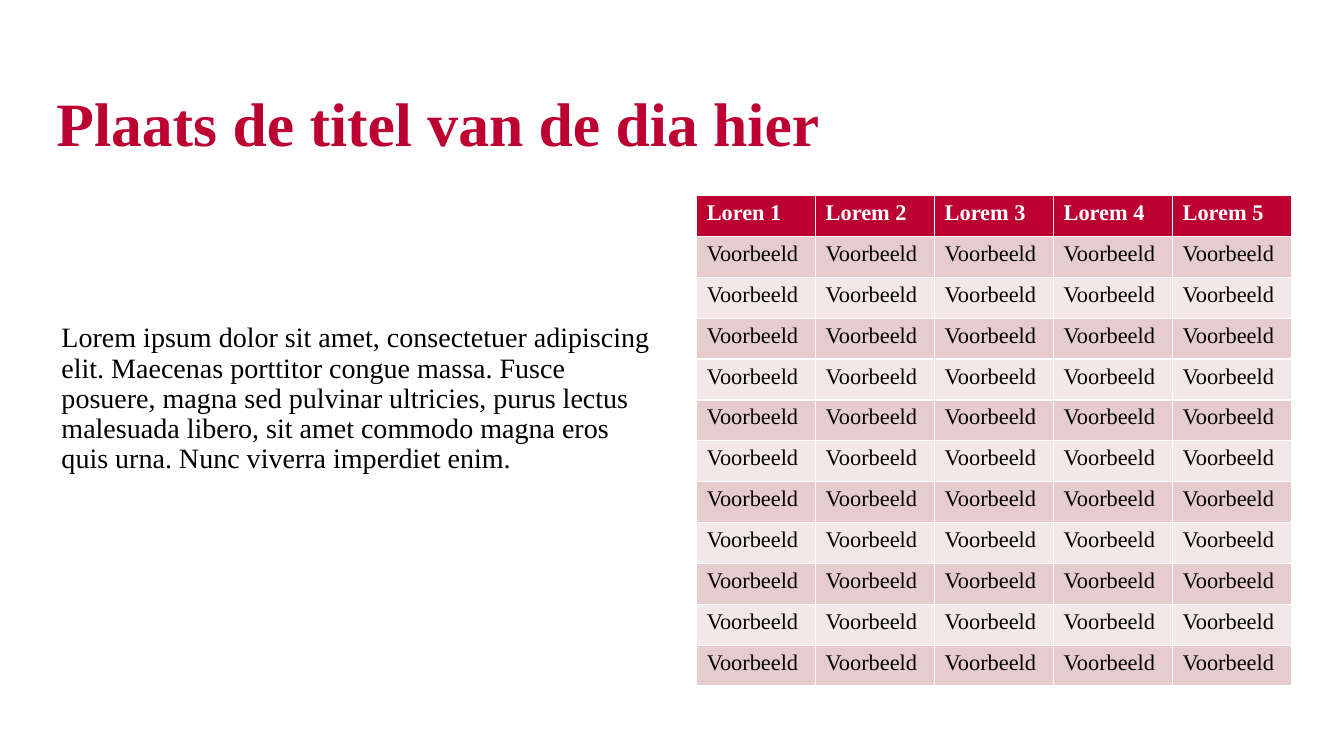
"""Build a slide with a title, a paragraph and an example table."""
from lxml import etree
from pptx import Presentation, util as u
from pptx.dml.color import RGBColor
from pptx.enum import text as t
from pptx.oxml.ns import qn

TITLE = "Plaats de titel van de dia hier"
BODY = (
    "Lorem ipsum dolor sit amet, consectetuer adipiscing elit. Maecenas porttitor "
    "congue massa. Fusce posuere, magna sed pulvinar ultricies, purus lectus malesuada "
    "libero, sit amet commodo magna eros quis urna. Nunc viverra imperdiet enim."
)
HEADERS = ["Loren 1", "Lorem 2", "Lorem 3", "Lorem 4", "Lorem 5"]
EXAMPLE_ROWS = [["Voorbeeld"] * len(HEADERS)] * 11

FONT = "Times New Roman"
RED, WHITE, BLACK = "BC0031", "FFFFFF", "000000"
BANDS = ["E7CCCE", "F3E7E8"]

TITLE_AREA = (0.56, 0.78, 12.2, 0.96)
BODY_AREA = (0.61, 3.21, 5.87, 1.5)
TABLE_AREA = (6.91, 1.94, 5.9, 4.87)


def color(value):
    return RGBColor.from_string(value)


def write(frame, words, size, ink, bold=False, spacing=None):
    para = frame.paragraphs[0]
    para.alignment = t.PP_ALIGN.LEFT
    para.line_spacing = spacing
    span = para.add_run()
    span.text = words
    span.font.name = FONT
    span.font.size = u.Pt(size)
    span.font.bold = bold
    span.font.color.rgb = color(ink)
    return para


def prepare(box, area, anchor):
    box.left, box.top, box.width, box.height = map(u.Inches, area)
    frame = box.text_frame
    frame.margin_left = frame.margin_top = frame.margin_right = frame.margin_bottom = 0
    frame.word_wrap = True
    frame.auto_size = t.MSO_AUTO_SIZE.NONE
    frame.vertical_anchor = anchor
    return frame


def add_title(page):
    frame = prepare(page.shapes.title, TITLE_AREA, t.MSO_ANCHOR.MIDDLE)
    write(frame, TITLE, size=44, ink=RED, bold=True, spacing=0.9)


def add_body(page):
    frame = prepare(page.placeholders[1], BODY_AREA, t.MSO_ANCHOR.TOP)
    para = write(frame, BODY, size=20, ink=BLACK, spacing=0.9)
    para.level = 3
    para.space_before = para.space_after = u.Pt(6)
    properties = para._p.get_or_add_pPr()
    properties.set("marL", "0")
    properties.set("indent", "0")
    etree.SubElement(properties, qn("a:buNone"))


def add_example_table(page):
    rows = [HEADERS] + EXAMPLE_ROWS
    area = map(u.Inches, TABLE_AREA)
    table = page.shapes.add_table(len(rows), len(HEADERS), *area).table
    for r, row in enumerate(rows):
        header = r == 0
        for c, words in enumerate(row):
            cell = table.cell(r, c)
            cell.fill.solid()
            cell.fill.fore_color.rgb = color(RED if header else BANDS[(r - 1) % 2])
            write(cell.text_frame, words, size=16, ink=WHITE if header else BLACK, bold=header)


def main():
    deck = Presentation()
    deck.slide_width, deck.slide_height = u.Inches(13.33), u.Inches(7.5)
    page = deck.slides.add_slide(deck.slide_layouts[1])
    add_title(page)
    add_body(page)
    add_example_table(page)
    deck.save("out.pptx")


if __name__ == "__main__":
    main()
